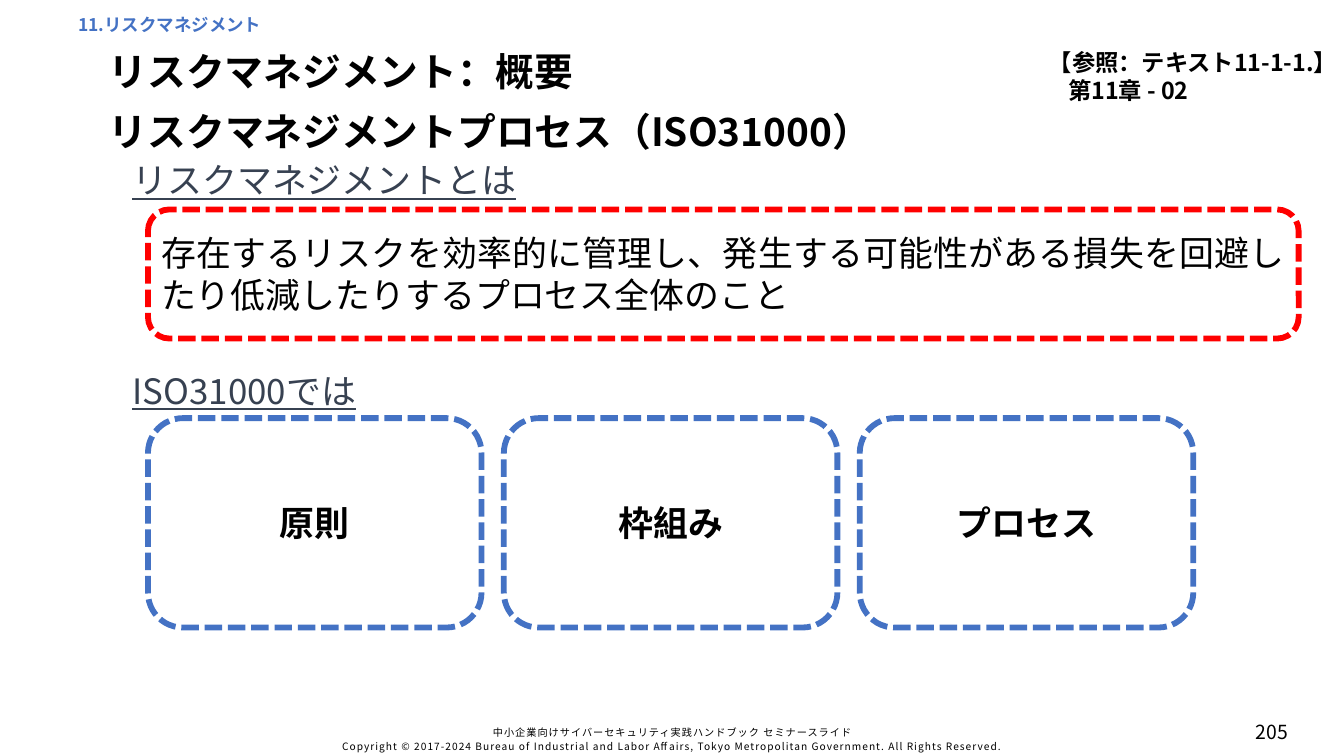
from lxml import etree
from pptx import Presentation
from pptx import util as u
from pptx.dml.color import RGBColor
from pptx.enum import dml, shapes, text
from pptx.oxml.ns import qn

PX = 9144  # 100 px to the inch
FONT = "Noto Sans CJK JP"
COLORS = {"ink": "000000", "blue": "4472C4", "red": "FF0000", "slate": "374151"}
ALIGN = text.PP_ALIGN
MID = text.MSO_ANCHOR.MIDDLE
TOP = text.MSO_ANCHOR.TOP


def emu(*box):
    return [n * PX for n in box]


def rgb(name):
    return RGBColor.from_string(COLORS[name])


def style(para, size, color="ink", bold=False, line=False, track=0):
    font = para.font
    font.size, font.bold, font.underline = u.Pt(size), bold, line
    font.color.rgb = rgb(color)
    font.name = FONT
    props = para._p.pPr.find(qn("a:defRPr"))
    etree.SubElement(props, qn("a:ea")).set("typeface", FONT)
    if track:
        props.set("spc", str(track))


def write(shape, lines, size, aligns=(ALIGN.LEFT,), anchor=TOP, space=None, **look):
    frame = shape.text_frame
    frame.word_wrap = True
    frame.auto_size = text.MSO_AUTO_SIZE.NONE
    frame.vertical_anchor = anchor
    frame.text = "\n".join(lines)
    for i, para in enumerate(frame.paragraphs):
        para.alignment = aligns[i % len(aligns)]
        para.line_spacing = space
        para.space_before = u.Pt(0)
        style(para, size, **look)
    return frame


def label(slide, box, lines, size, **look):
    return write(slide.shapes.add_textbox(*emu(*box)), lines, size, **look)


def panel(slide, box, words, color, align, bold=False):
    shape = slide.shapes.add_shape(shapes.MSO_SHAPE.ROUNDED_RECTANGLE, *emu(*box))
    shape.shadow.inherit = False
    shape.fill.background()
    shape.line.color.rgb = rgb(color)
    shape.line.width = u.Pt(6)
    shape.line.dash_style = dml.MSO_LINE.SQUARE_DOT
    write(shape, [words], 36, aligns=[align], anchor=MID, bold=bold)


def header(slide, x, y):
    # Chapter name
    frame = label(slide, (x, y, 1748, 25), ["11.リスクマネジメント"], 18,
                  space=u.Pt(15), color="blue", bold=True)
    frame.margin_left = frame.margin_right = frame.margin_bottom = 0
    frame.margin_top = PX
    # Two title lines
    look = dict(anchor=MID, space=0.9, bold=True)
    label(slide, (x + 34, y + 48, 1634, 61), ["リスクマネジメント：概要"], 40, **look)
    title = slide.shapes.title
    title.left, title.top, title.width, title.height = emu(x + 34, y + 133, 1634, 61)
    write(title, ["リスクマネジメントプロセス（ISO31000）"], 40, **look)
    # Reference to the textbook
    label(slide, (x + 1196, y + 36, 618, 91), ["【参照：テキスト11-1-1.】", "第11章 - 02"], 24,
          aligns=[ALIGN.RIGHT, ALIGN.CENTER], bold=True)


def about(slide, x, y):
    label(slide, (x, y, 1690, 70), ["リスクマネジメントとは"], 36, color="slate", line=True)
    panel(slide, (x + 32, y + 77, 1649, 185),
          "存在するリスクを効率的に管理し、発生する可能性がある損失を回避したり低減したりするプロセス全体のこと",
          "red", ALIGN.JUSTIFY)


def parts(slide, x, y):
    label(slide, (x, y, 1690, 70), ["ISO31000では"], 36, color="slate", line=True)
    for i, name in enumerate(["原則", "枠組み", "プロセス"]):
        panel(slide, (x + 32 + i * 510, y + 75, 478, 300), name, "blue", ALIGN.CENTER, True)


def footer(slide, x, y):
    label(slide, (x, y, 1179, 51),
          ["中小企業向けサイバーセキュリティ実践ハンドブック セミナースライド",
           "Copyright © 2017-2024 Bureau of Industrial and Labor Affairs, "
           "Tokyo Metropolitan Government. All Rights Reserved."],
          10.5, aligns=[ALIGN.CENTER], anchor=MID, space=1.1, track=110)
    # Page number
    label(slide, (x + 1364, y - 4, 169, 38), ["205"], 20, aligns=[ALIGN.CENTER], anchor=MID)


def main():
    deck = Presentation()
    deck.slide_width, deck.slide_height = emu(1926, 1083)
    slide = deck.slides.add_slide(deck.slide_layouts[5])
    header(slide, 112, 28)
    about(slide, 180, 223)
    parts(slide, 180, 524)
    footer(slide, 374, 1033)
    deck.save("out.pptx")


if __name__ == "__main__":
    main()
